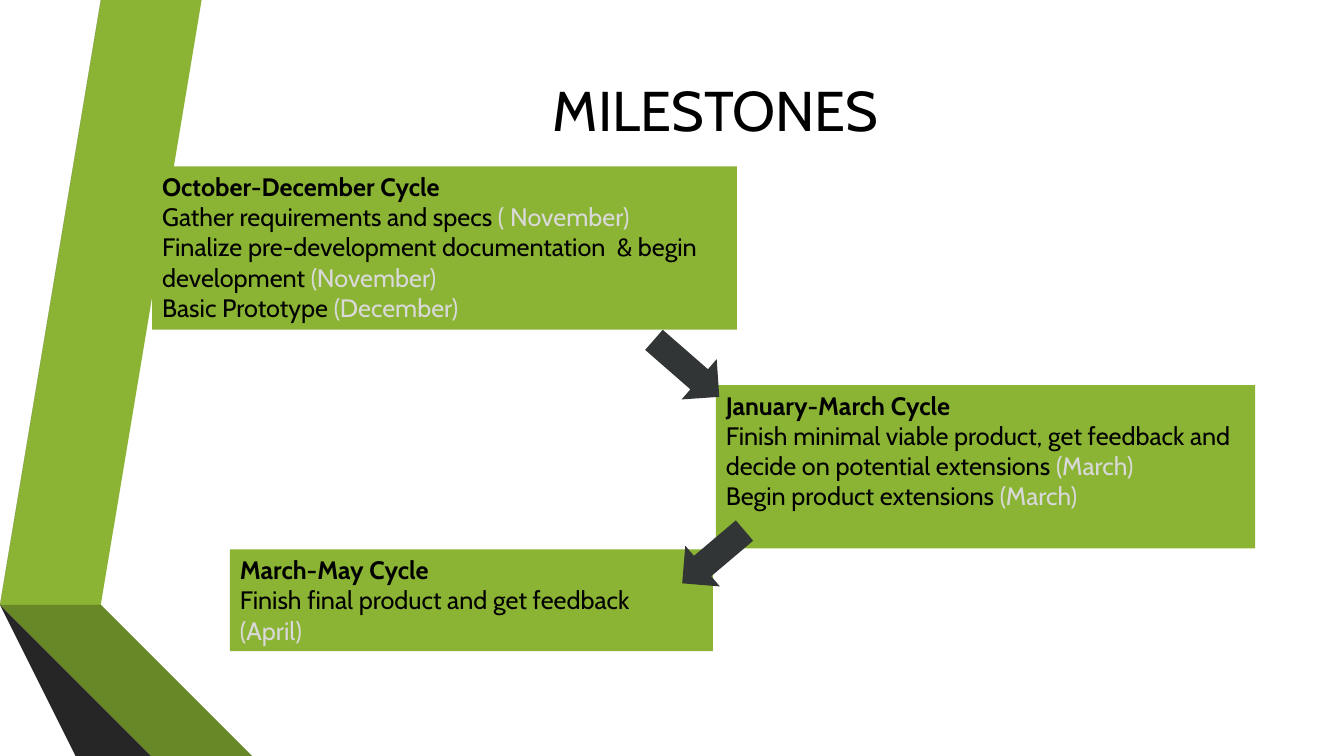
from pptx import Presentation
from pptx.dml.color import RGBColor
from pptx.enum.shapes import MSO_SHAPE
from pptx.enum.text import MSO_ANCHOR, PP_ALIGN
from pptx.util import Inches, Pt

RECT, ARROW = MSO_SHAPE.RECTANGLE, MSO_SHAPE.RIGHT_ARROW
TOP, MIDDLE = MSO_ANCHOR.TOP, MSO_ANCHOR.MIDDLE
LEFT, CENTER = PP_ALIGN.LEFT, PP_ALIGN.CENTER
BLACK = RGBColor(0x00, 0x00, 0x00)
LIGHT = RGBColor(0xD9, 0xD9, 0xD9)
GREEN = RGBColor(0x8B, 0xB4, 0x34)
MOSS = RGBColor(0x68, 0x87, 0x27)
DARK_MOSS = RGBColor(0x46, 0x5A, 0x1A)
GRAY = RGBColor(0x59, 0x59, 0x59)
CHARCOAL = RGBColor(0x40, 0x40, 0x40)
DARK_GRAY = RGBColor(0x26, 0x26, 0x26)
SLATE = RGBColor(0x32, 0x35, 0x36)
FONT = "Cabin"
WIDTH, HEIGHT = 13.33, 7.5

RIBBONS = [
    (GREEN, [(0.5, 5.78), (0.77, 5.83), (1.73, 0), (1.45, 0)]),
    (GRAY, [(1.39, 0), (1.11, 0), (0.16, 5.73), (0.44, 5.77)]),
    (DARK_GRAY, [(0.16, 5.73), (1.45, HEIGHT), (1.51, HEIGHT)]),
    (DARK_MOSS, [(0.5, 5.79), (2.08, HEIGHT), (2.14, HEIGHT)]),
    (MOSS, [(0.5, 5.78), (2.14, HEIGHT), (2.83, HEIGHT), (0.77, 5.83)]),
    (CHARCOAL, [(0.16, 5.73), (1.51, HEIGHT), (2.02, HEIGHT), (0.44, 5.78)]),
]
CYCLES = [
    ((1.51, 1.65, 5.8, 1.62), "October-December Cycle", [
        ("Gather requirements and specs ", "( November)"),
        ("Finalize pre-development documentation  & begin development ", "(November)"),
        ("Basic Prototype ", "(December)")]),
    ((7.1, 3.82, 5.35, 1.62), "January-March Cycle", [
        ("Finish minimal viable product, get feedback and decide on potential extensions ",
         "(March)"),
        ("Begin product extensions ", "(March)")]),
    ((2.28, 5.45, 4.79, 1.01), "March-May Cycle", [
        ("Finish final product and get feedback ", "(April)")]),
]
ARROWS = [((6.67, 5.26, 0.81, 0.53), 139.7), ((6.38, 3.39, 0.86, 0.53), 41.1)]


def paint(sp, color):
    """Give a shape a flat fill without line or shadow."""
    sp.shadow.inherit = False
    sp.fill.solid()
    sp.fill.fore_color.rgb = color
    sp.line.fill.background()


def add_ribbons(s):
    """Draw the folded ribbons along the left edge."""
    for color, (start, *rest) in RIBBONS:
        fb = s.shapes.build_freeform(*start, scale=Inches(1))
        fb.add_line_segments(rest, close=True)
        paint(fb.convert_to_shape(), color)


def add_title(s, box, text):
    """Place the centred title in its box."""
    tf = s.shapes.add_textbox(*map(Inches, box)).text_frame
    tf.word_wrap = True
    tf.vertical_anchor = MIDDLE
    p = tf.paragraphs[0]
    p.text = text
    p.alignment = CENTER
    p.font.name, p.font.size = FONT, Pt(40)
    p.font.color.rgb = BLACK


def add_cycle(s, box, heading, tasks):
    """Draw a cycle's box with its heading and dated tasks."""
    sp = s.shapes.add_shape(RECT, *map(Inches, box))
    paint(sp, GREEN)
    tf = sp.text_frame
    tf.word_wrap = True
    tf.vertical_anchor = TOP
    tf.margin_right = Inches(0.22)
    p = tf.paragraphs[0]
    p.text = heading
    p.font.bold = True
    p.font.color.rgb = BLACK
    for task in tasks:
        p = tf.add_paragraph()
        for text, color in zip(task, (BLACK, LIGHT)):
            r = p.add_run()
            r.text = text
            r.font.color.rgb = color
    for p in tf.paragraphs:
        p.alignment = LEFT
        p.font.name, p.font.size = FONT, Pt(18)


def add_arrow(s, box, angle):
    """Draw a turned arrow leading to the next cycle."""
    sp = s.shapes.add_shape(ARROW, *map(Inches, box))
    sp.rotation = angle
    paint(sp, SLATE)


def main():
    """Build the milestones slide."""
    prs = Presentation()
    prs.slide_width, prs.slide_height = Inches(WIDTH), Inches(HEIGHT)
    s = prs.slides.add_slide(prs.slide_layouts[6])
    add_ribbons(s)
    add_title(s, (1.62, 0.12, 10.96, 1.92), "MILESTONES")
    for cycle in CYCLES:
        add_cycle(s, *cycle)
    for arrow in ARROWS:
        add_arrow(s, *arrow)
    prs.save("out.pptx")


if __name__ == "__main__":
    main()
